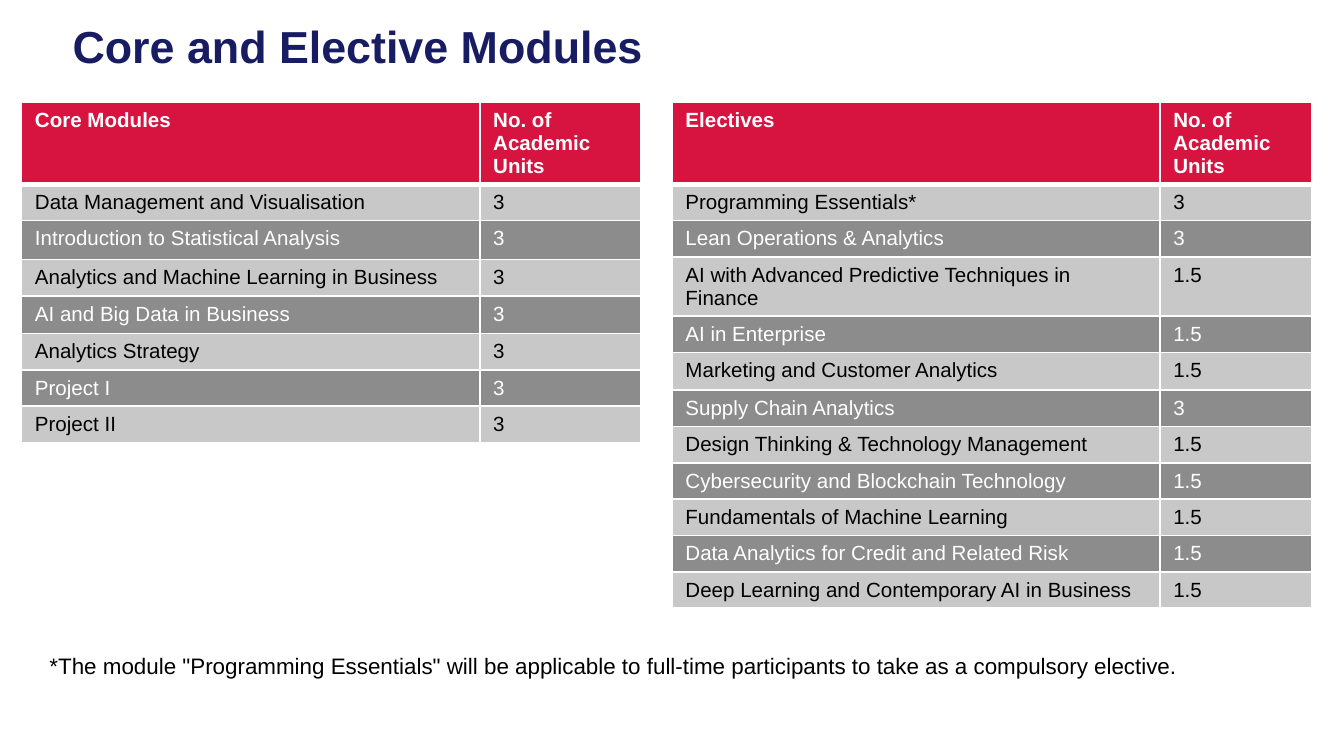
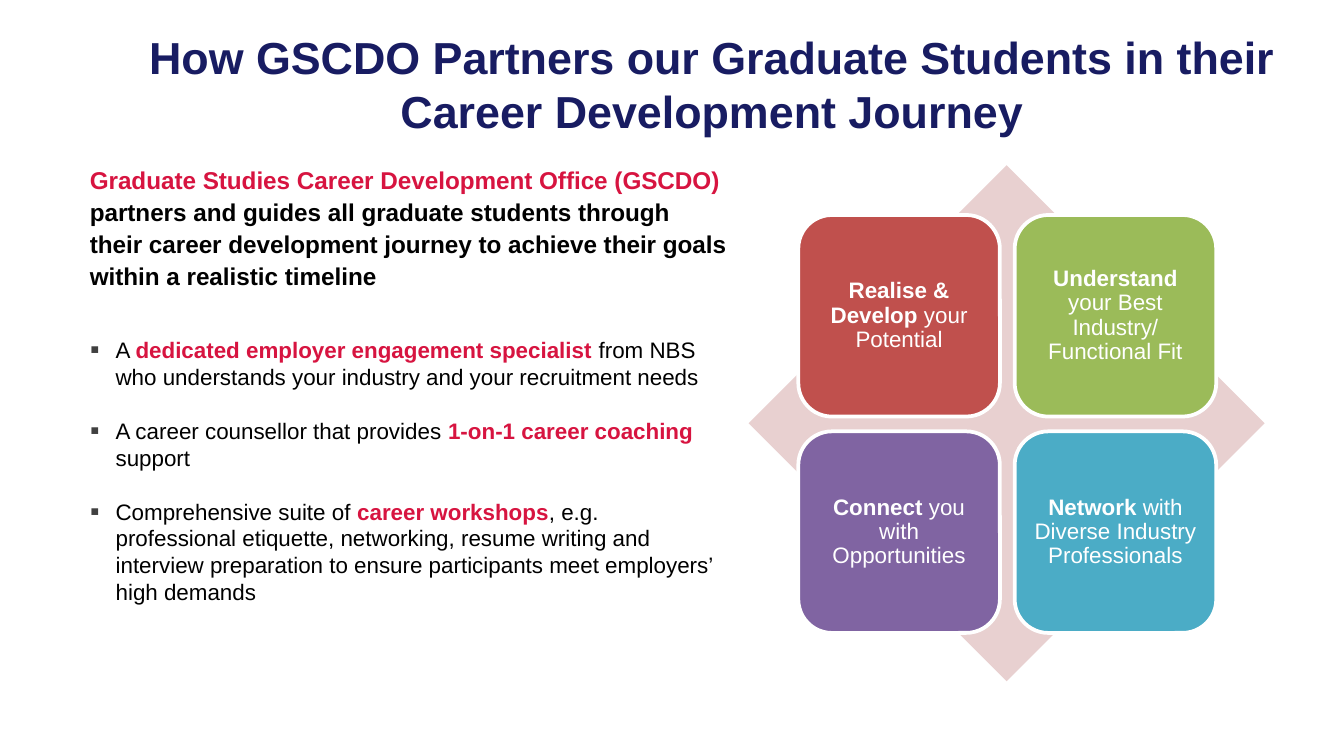
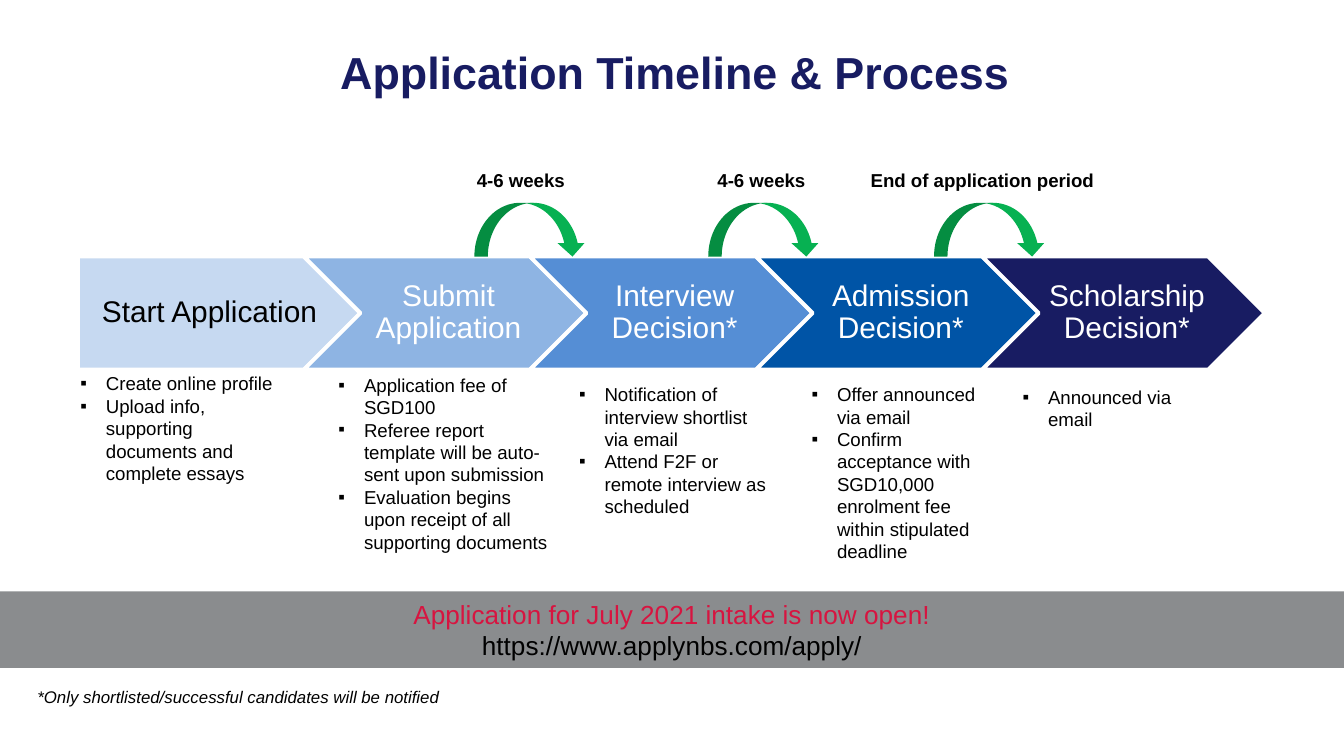
import collections
import dataclasses

import pptx
import pptx.dml.color
import pptx.enum.shapes
import pptx.enum.text
import pptx.oxml
import pptx.oxml.ns
import pptx.util

Inches = pptx.util.Inches
Pt = pptx.util.Pt
SHAPE = pptx.enum.shapes.MSO_SHAPE
ALIGN = pptx.enum.text.PP_ALIGN
ANCHOR = pptx.enum.text.MSO_ANCHOR
Box = collections.namedtuple("Box", "left top width height")


@dataclasses.dataclass(frozen=True)
class Theme:
    font: str = "Arial"
    navy: str = "181C62"
    red: str = "D71440"
    black: str = "000000"
    white: str = "FFFFFF"
    light_row: str = "C8C8C8"
    dark_row: str = "8C8C8C"
    banner: str = "8A8C8E"
    diamond: str = "E8D0D0"
    arrow: str = "07B152"
    bullet: str = "404040"
    tiles: tuple = ("C0504D", "9BBB59", "8064A2", "4BACC6")
    steps: tuple = ("C6D9F1", "8EB4E3", "558ED5", "0054A6", "181C62")
    title_size: int = 24
    step_size: int = 16
    banner_size: int = 14
    lead_size: int = 13
    body_size: int = 12
    table_size: int = 11
    detail_size: int = 10
    note_size: int = 9


THEME = Theme()
CENTERED = {"alignment": ALIGN.CENTER}
TIGHT = {"alignment": ALIGN.CENTER, "line_spacing": 0.9}


def text_format(size, color=THEME.black, **extra):
    return {"name": THEME.font, "size": Pt(size), "bold": False, "color": color, **extra}


def rgb(color):
    return pptx.dml.color.RGBColor.from_string(color)


def place(shape, box):
    for name, value in box._asdict().items():
        setattr(shape, name, Inches(value))


def add_bullet(para, color, percent):
    properties = para._p.get_or_add_pPr()
    properties.set("marL", str(Inches(0.19)))
    properties.set("indent", str(-Inches(0.19)))
    namespace = pptx.oxml.ns.nsdecls("a")
    for xml in (
        f'<a:buClr {namespace}><a:srgbClr val="{color}"/></a:buClr>',
        f'<a:buSzPct {namespace} val="{percent * 1000}"/>',
        f'<a:buFont {namespace} typeface="{THEME.font}"/>',
        f'<a:buChar {namespace} char="▪"/>',
    ):
        properties.append(pptx.oxml.parse_xml(xml))


def add_span(para, text, style):
    span = para.add_run()
    span.text = text
    for name, value in style.items():
        if name == "color":
            span.font.color.rgb = rgb(value)
        else:
            setattr(span.font, name, value)


def write(frame, paragraphs, layout=None, bullet=None, gap=0, **frame_format):
    settings = {"word_wrap": True, "auto_size": pptx.enum.text.MSO_AUTO_SIZE.NONE,
                "vertical_anchor": ANCHOR.TOP, **frame_format}
    for name, value in settings.items():
        setattr(frame, name, value)
    for index, spans in enumerate(paragraphs):
        para = frame.add_paragraph() if index else frame.paragraphs[0]
        if bullet:
            add_bullet(para, *bullet)
        spacing = {"space_before": Pt(gap if index else 0), **(layout or {})}
        for name, value in spacing.items():
            setattr(para, name, value)
        for text, style in spans:
            add_span(para, text, style)


def add_text(page, box, paragraphs, **options):
    shape = page.shapes.add_textbox(*map(Inches, box))
    write(shape.text_frame, paragraphs, **options)


def add_figure(page, kind, box, fill, outlined=False):
    shape = page.shapes.add_shape(kind, *map(Inches, box))
    shape.shadow.inherit = False
    shape.fill.solid()
    shape.fill.fore_color.rgb = rgb(fill)
    if outlined:
        shape.line.color.rgb = rgb(THEME.white)
        shape.line.width = Pt(2)
    else:
        shape.line.fill.background()
    return shape


def add_page(deck, layout_index, title, box, **options):
    page = deck.slides.add_slide(deck.slide_layouts[layout_index])
    place(page.shapes.title, box)
    style = text_format(THEME.title_size, THEME.navy, bold=True)
    write(page.shapes.title.text_frame, [[(title, style)]], **options)
    return page


def add_borders(cell, bottom_width):
    properties = cell._tc.get_or_add_tcPr()
    for side, width in zip("LRTB", (1, 1, 1, bottom_width)):
        properties.append(pptx.oxml.parse_xml(
            f'<a:ln{side} {pptx.oxml.ns.nsdecls("a")} w="{Pt(width)}"><a:solidFill>'
            f'<a:srgbClr val="{THEME.white}"/></a:solidFill></a:ln{side}>'))


def add_module_table(page, box, units_width, heading, heights, modules):
    rows = [(heading, "No. of Academic Units"), *modules]
    table = page.shapes.add_table(len(rows), 2, *map(Inches, box)).table
    for column, width in zip(table.columns, (box.width - units_width, units_width)):
        column.width = Inches(width)
    for index, (values, height) in enumerate(zip(rows, heights)):
        table.rows[index].height = Inches(height)
        header = index == 0
        odd = index % 2 == 1
        fill = THEME.red if header else THEME.light_row if odd else THEME.dark_row
        color = THEME.black if odd else THEME.white
        style = text_format(THEME.table_size, color, bold=header)
        for cell, value in zip(table.rows[index].cells, values):
            add_borders(cell, 3 if header else 1)
            cell.fill.solid()
            cell.fill.fore_color.rgb = rgb(fill)
            add_span(cell.text_frame.paragraphs[0], value, style)


def build_modules(deck):
    page = add_page(deck, 5, "Core and Elective Modules", Box(0.16, 0.09, 6.75, 0.7),
                    layout={"alignment": ALIGN.LEFT}, margin_left=Inches(0.38))
    add_module_table(
        page, Box(5, 0.76, 4.76, 3.14), 1.13, "Electives",
        (0.23, 0.26, 0.26, 0.29, 0.26, 0.28, 0.21) + (0.27,) * 5,
        [
            ("Programming Essentials*", "3"),
            ("Lean Operations & Analytics", "3"),
            ("AI with Advanced Predictive Techniques in Finance", "1.5"),
            ("AI in Enterprise", "1.5"),
            ("Marketing and Customer Analytics", "1.5"),
            ("Supply Chain Analytics", "3"),
            ("Design Thinking & Technology Management", "1.5"),
            ("Cybersecurity and Blockchain Technology", "1.5"),
            ("Fundamentals of Machine Learning", "1.5"),
            ("Data Analytics for Credit and Related Risk", "1.5"),
            ("Deep Learning and Contemporary AI in Business", "1.5"),
        ])
    add_module_table(
        page, Box(0.16, 0.76, 4.61, 2.11), 1.2, "Core Modules",
        (0.27, 0.26, 0.29, 0.26, 0.28, 0.21, 0.27, 0.27),
        [
            ("Data Management and Visualisation", "3"),
            ("Introduction to Statistical Analysis", "3"),
            ("Analytics and Machine Learning in Business", "3"),
            ("AI and Big Data in Business", "3"),
            ("Analytics Strategy", "3"),
            ("Project I", "3"),
            ("Project II", "3"),
        ])
    note = ('*The module "Programming Essentials" will be applicable to full-time '
            'participants to take as a compulsory elective.')
    add_text(page, Box(0.27, 4.8, 9.73, 0.3), [[(note, text_format(THEME.body_size))]])


def add_partner_tiles(page, box):
    add_figure(page, SHAPE.DIAMOND, box, THEME.diamond)
    strong = text_format(THEME.body_size, THEME.white, bold=True)
    plain = text_format(THEME.body_size, THEME.white)
    labels = [
        ("Realise & Develop", " your Potential"),
        ("Understand", " your Best Industry/ Functional Fit"),
        ("Connect", " you with Opportunities"),
        ("Network", " with Diverse Industry Professionals"),
    ]
    margins = {f"margin_{side}": Inches(0.05) for side in ("left", "top", "right", "bottom")}
    side, pitch, inset = 1.5, 1.61, 0.37
    for index, ((lead, rest), fill) in enumerate(zip(labels, THEME.tiles)):
        row, column = divmod(index, 2)
        tile = Box(box.left + inset + column * pitch, box.top + inset + row * pitch, side, side)
        shape = add_figure(page, SHAPE.ROUNDED_RECTANGLE, tile, fill, outlined=True)
        write(shape.text_frame, [[(lead, strong), (rest, plain)]], layout=TIGHT,
              vertical_anchor=ANCHOR.MIDDLE, **margins)


def add_services(page, box):
    plain = text_format(THEME.body_size)
    accent = text_format(THEME.body_size, THEME.red, bold=True)
    services = [
        ("A ", "dedicated employer engagement specialist",
         " from NBS who understands your industry and your recruitment needs"),
        ("A career counsellor that provides ", "1-on-1 career coaching", " support"),
        ("Comprehensive suite of ", "career workshops",
         ", e.g. professional etiquette, networking, resume writing and interview "
         "preparation to ensure participants meet employers’ high demands"),
    ]
    body = page.placeholders[1]
    place(body, box)
    write(body.text_frame, [list(zip(texts, (plain, accent, plain))) for texts in services],
          bullet=(THEME.bullet, 120), gap=14.5)


def build_careers(deck):
    page = add_page(
        deck, 1, "How GSCDO Partners our Graduate Students in their Career Development Journey",
        Box(0.89, 0.15, 8.81, 0.94), layout=CENTERED, vertical_anchor=ANCHOR.MIDDLE)
    lead = [
        ("Graduate Studies Career Development Office (GSCDO) ",
         text_format(THEME.lead_size, THEME.red, bold=True)),
        ("partners and guides all graduate students through their career development "
         "journey to achieve their goals within a realistic timeline",
         text_format(THEME.lead_size, bold=True)),
    ]
    add_text(page, Box(0.57, 1.16, 4.93, 1.06), [lead], layout={"line_spacing": 1.1})
    add_partner_tiles(page, Box(5.57, 1.23, 3.84, 3.84))
    add_services(page, Box(0.57, 2.45, 4.92, 2.12))


def add_steps(page, box):
    labels = ("Start Application", "Submit Application", "Interview Decision*",
              "Admission Decision*", "Scholarship Decision*")
    width = 2.1
    pitch = (box.width - width) / (len(labels) - 1)
    for index, (label, fill) in enumerate(zip(labels, THEME.steps)):
        first = index == 0
        kind = SHAPE.PENTAGON if first else SHAPE.CHEVRON
        step = Box(box.left + index * pitch, box.top, width, box.height)
        shape = add_figure(page, kind, step, fill, outlined=True)
        style = text_format(THEME.step_size, THEME.black if first else THEME.white)
        write(shape.text_frame, [[(label, style)]], layout=TIGHT,
              vertical_anchor=ANCHOR.MIDDLE, margin_left=Inches(0.09 if first else 0.07),
              margin_right=Inches(0.02))


def add_step_details(page):
    details = [
        (Box(0.5, 2.72, 1.67, 0.94),
         ["Create online profile", "Upload info, supporting documents and complete essays"]),
        (Box(2.42, 2.73, 1.75, 1.45),
         ["Application fee of SGD100",
          "Referee report template will be auto-sent upon submission",
          "Evaluation begins upon receipt of all supporting documents"]),
        (Box(4.21, 2.8, 1.62, 1.11),
         ["Notification of interview shortlist via email",
          "Attend F2F or remote interview as scheduled"]),
        (Box(5.94, 2.8, 1.56, 1.45),
         ["Offer announced via email",
          "Confirm acceptance with SGD10,000 enrolment fee within stipulated deadline"]),
        (Box(7.51, 2.82, 1.49, 0.44), ["Announced via email"]),
    ]
    style = text_format(THEME.detail_size)
    for box, items in details:
        add_text(page, box, [[(item, style)] for item in items], bullet=(THEME.black, 100))


def add_waits(page, top):
    style = text_format(THEME.detail_size, bold=True)
    waits = [
        (3.53, 3.45, 0.86, "4-6 weeks"),
        (5.27, 5.24, 0.86, "4-6 weeks"),
        (6.95, 6.38, 2.08, "End of application period"),
    ]
    for arrow_left, label_left, label_width, label in waits:
        arrow = add_figure(page, SHAPE.CURVED_UP_ARROW,
                           Box(arrow_left, top + 0.3, 0.83, 0.4), THEME.arrow)
        arrow._element.spPr.xfrm.set("flipV", "1")
        add_text(page, Box(label_left, top, label_width, 0.27), [[(label, style)]],
                 word_wrap=label_width > 1)


def add_banner(page, box):
    banner = add_figure(page, SHAPE.RECTANGLE, box, THEME.banner)
    lines = [("Application for July 2021 intake is now open!", THEME.red),
             ("https://www.applynbs.com/apply/", THEME.black)]
    write(banner.text_frame,
          [[(text, text_format(THEME.banner_size, color))] for text, color in lines],
          layout=CENTERED)


def build_timeline(deck):
    page = add_page(deck, 5, "Application Timeline & Process", Box(0.88, 0.06, 8.28, 0.94),
                    layout=CENTERED, vertical_anchor=ANCHOR.MIDDLE)
    add_steps(page, Box(0.58, 1.91, 8.83, 0.84))
    add_step_details(page)
    add_waits(page, 1.21)
    note = "*Only shortlisted/successful candidates will be notified"
    add_text(page, Box(0.18, 5.06, 3.22, 0.25),
             [[(note, text_format(THEME.note_size, italic=True))]], word_wrap=False)
    add_banner(page, Box(0, 4.4, 10, 0.57))


def main():
    deck = pptx.Presentation()
    deck.slide_width = Inches(10)
    deck.slide_height = deck.slide_width * 9 // 16
    for build in (build_modules, build_careers, build_timeline):
        build(deck)
    deck.save("out.pptx")


if __name__ == "__main__":
    main()
